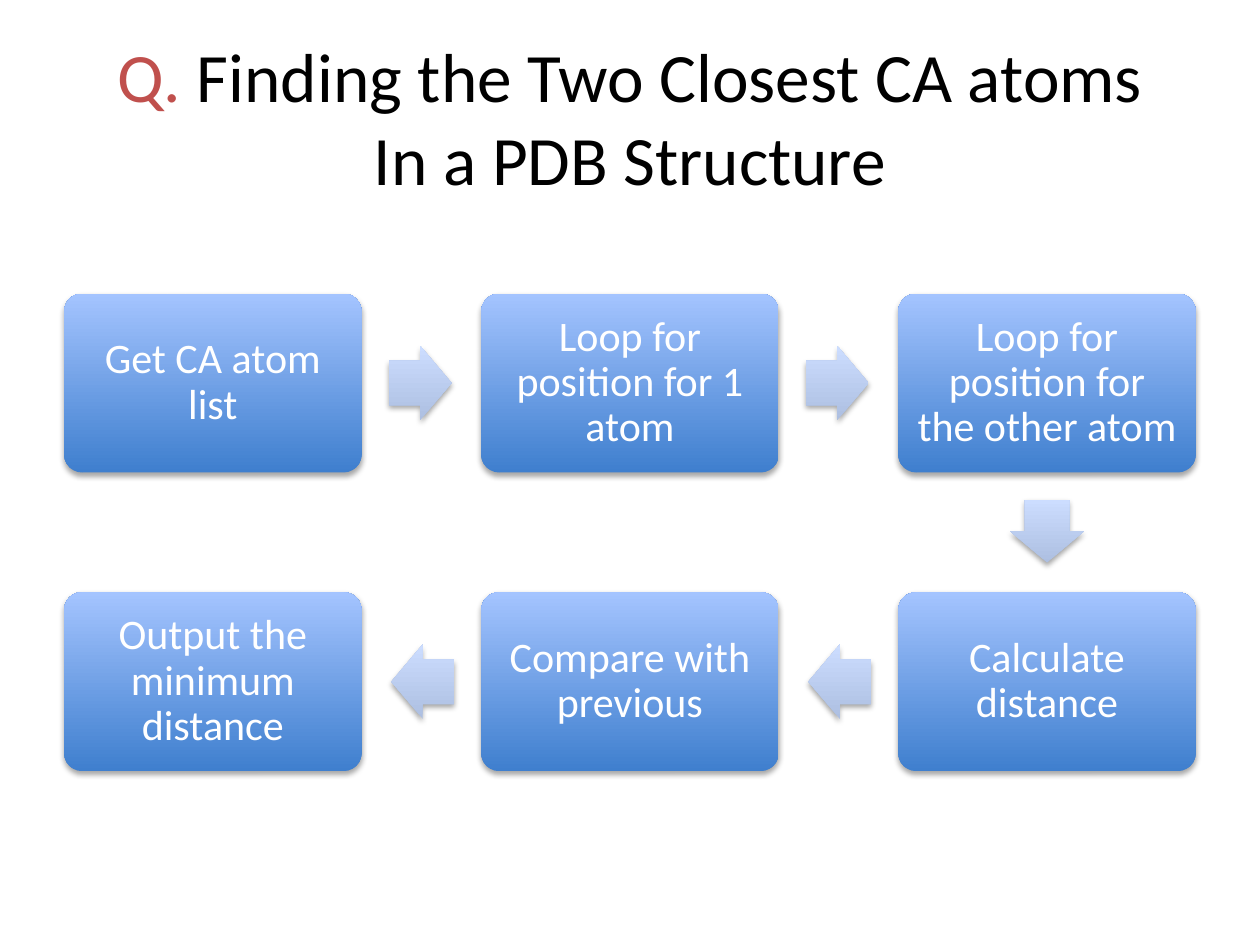
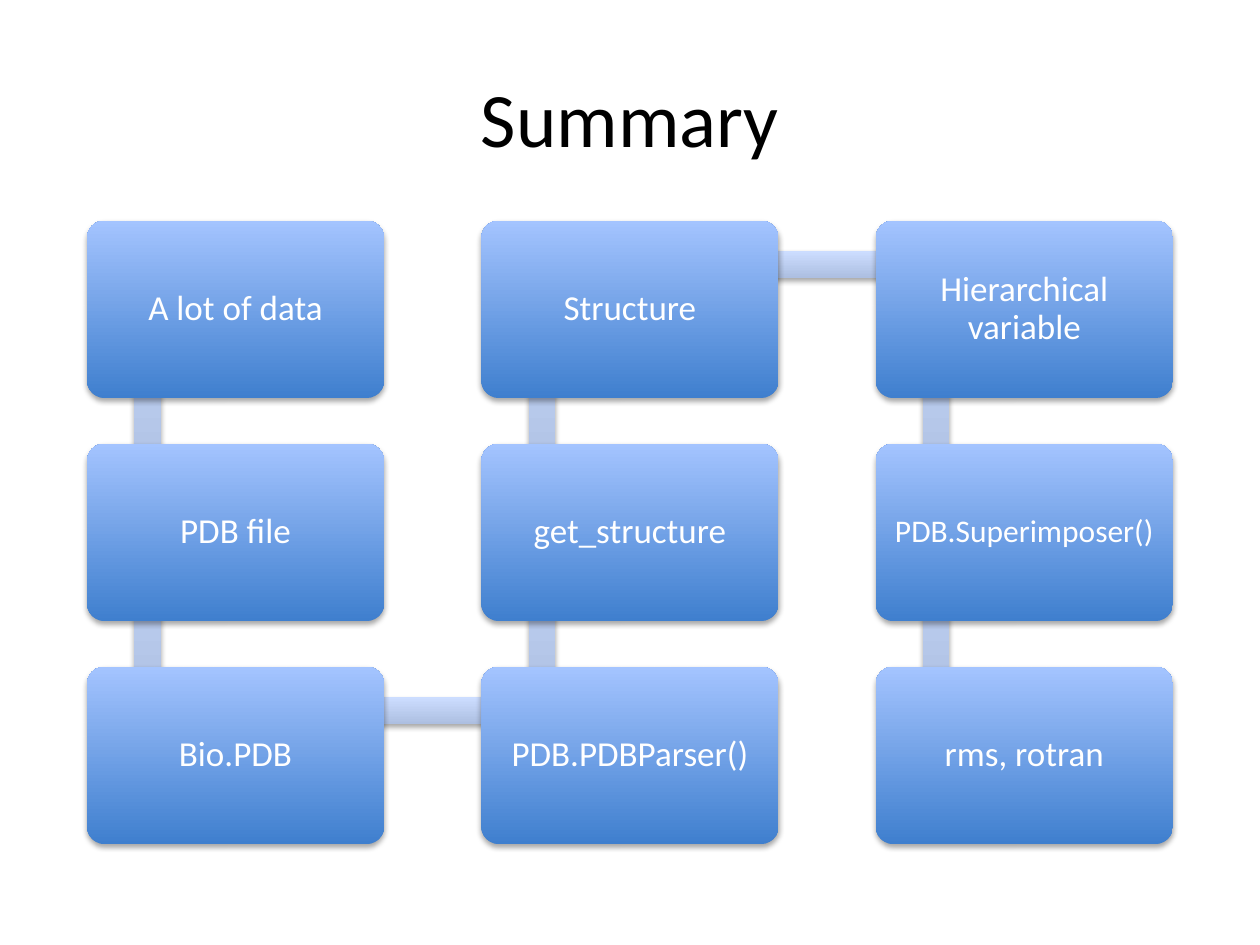
from copy import deepcopy
from math import atan2, degrees, hypot

from lxml import etree
from pptx import Presentation
from pptx.dml.color import RGBColor
from pptx.enum.shapes import MSO_SHAPE
from pptx.enum.text import MSO_ANCHOR, MSO_AUTO_SIZE, PP_ALIGN
from pptx.oxml.ns import qn
from pptx.util import Inches, Pt

ROUNDED_BOX = MSO_SHAPE.ROUNDED_RECTANGLE
ARROW = MSO_SHAPE.RIGHT_ARROW
BAR = MSO_SHAPE.RECTANGLE
CENTER = PP_ALIGN.CENTER
MIDDLE = MSO_ANCHOR.MIDDLE
NO_AUTOFIT = MSO_AUTO_SIZE.NONE

# Shared look
FONT = "Calibri"
BLACK = RGBColor(0x00, 0x00, 0x00)
WHITE = RGBColor(0xFF, 0xFF, 0xFF)
RED = RGBColor(0xC0, 0x50, 0x4D)
BOX_GRADIENT = (RGBColor(0x3F, 0x7F, 0xCE), RGBColor(0xA4, 0xC4, 0xFF))
LINK_GRADIENT = (RGBColor(0xAD, 0xBF, 0xE1), RGBColor(0xCC, 0xDD, 0xFF))
TITLE_ONLY_LAYOUT = 5
BOX_WIDTH = 2.36

# Boxes in reading order of the flow: text, column, row
CLOSEST_ATOM_STEPS = [
    ("Get CA atom list", 0, 0),
    ("Loop for position for 1 atom", 1, 0),
    ("Loop for position for the other atom", 2, 0),
    ("Calculate distance", 2, 1),
    ("Compare with previous", 1, 1),
    ("Output the minimum distance", 0, 1),
]
SUMMARY_STEPS = [
    ("A lot of data", 0, 0),
    ("PDB file", 0, 1),
    ("Bio.PDB", 0, 2),
    ("PDB.PDBParser()", 1, 2),
    ("get_structure", 1, 1),
    ("Structure", 1, 0),
    ("Hierarchical variable", 2, 0),
    ("PDB.Superimposer()", 2, 1),
    ("rms, rotran", 2, 2),
]


def add_text(paragraph, text, size=20, color=WHITE, line_spacing=None):
    """Append text to a centred paragraph; a newline becomes a line break."""
    paragraph.alignment = CENTER
    if line_spacing:
        paragraph.line_spacing = line_spacing
    run = None
    for line in text.split("\n"):
        if run is not None:
            # The break keeps the size of the text before it
            paragraph.add_line_break()
            paragraph._p[-1].append(deepcopy(run._r.rPr))
        run = paragraph.add_run()
        run.text = line
        run.font.name = FONT
        run.font.size = Pt(size)
        run.font.color.rgb = color


def add_slide(presentation, title_parts, title_size):
    slide = presentation.slides.add_slide(
        presentation.slide_layouts[TITLE_ONLY_LAYOUT])
    title = slide.shapes.title
    title.left, title.top = Inches(0.5), Inches(0.3)
    title.width, title.height = Inches(9), Inches(1.25)
    title.text_frame.auto_size = NO_AUTOFIT
    title.text_frame.vertical_anchor = MIDDLE
    for text, color in title_parts:
        add_text(title.text_frame.paragraphs[0], text, size=title_size, color=color)
    return slide


def add_shadow(shape):
    shape.shadow.inherit = False
    effects = shape._element.spPr.find(qn("a:effectLst"))
    shadow = etree.SubElement(effects, qn("a:outerShdw"), blurRad="40000",
                              dist="23000", dir="5400000", rotWithShape="0")
    color = etree.SubElement(shadow, qn("a:srgbClr"), val=str(BLACK))
    etree.SubElement(color, qn("a:alpha"), val="35000")


def add_gradient_shape(slide, kind, left, top, width, height, colors, adjustments=()):
    shape = slide.shapes.add_shape(
        kind, Inches(left), Inches(top), Inches(width), Inches(height))
    for index, value in enumerate(adjustments):
        shape.adjustments[index] = value
    # Dark at the bottom, light at the top, also when the shape is turned
    shape.fill.gradient()
    shape.fill.gradient_angle = 90
    for stop, color in zip(shape.fill.gradient_stops, colors):
        stop.color.rgb = color
    shape._element.spPr.find(qn("a:gradFill")).set("rotWithShape", "0")
    shape.line.fill.background()
    add_shadow(shape)
    return shape


def add_box(slide, text, left, top, height, size, inset):
    box = add_gradient_shape(slide, ROUNDED_BOX, left, top, BOX_WIDTH, height,
                             BOX_GRADIENT, adjustments=[0.1])
    frame = box.text_frame
    frame.word_wrap = True
    frame.vertical_anchor = MIDDLE
    frame.margin_left = frame.margin_right = Inches(inset)
    frame.margin_top = frame.margin_bottom = Inches(inset)
    add_text(frame.paragraphs[0], text, size=size, line_spacing=0.9)


def add_link(slide, kind, start, end, thickness, length=None, shift=0, adjustments=()):
    """Centre a shape between two points and turn it towards the second."""
    across, down = end[0] - start[0], end[1] - start[1]
    distance = hypot(across, down)
    length = length or distance
    center_x = (start[0] + end[0]) / 2 + shift * across / distance
    center_y = (start[1] + end[1]) / 2 + shift * down / distance
    link = add_gradient_shape(slide, kind, center_x - length / 2,
                              center_y - thickness / 2, length, thickness,
                              LINK_GRADIENT, adjustments)
    link.rotation = round(degrees(atan2(down, across))) % 360


def add_flow(slide, steps, origin, pitch, box_height, anchor, link_format,
             size, inset, small_texts=()):
    """Lay the steps on a grid; links join the anchor points of the boxes."""
    corners = [(origin[0] + column * pitch[0], origin[1] + row * pitch[1])
               for _, column, row in steps]
    anchors = [(left + anchor[0], top + anchor[1]) for left, top in corners]
    # Links lie behind the boxes
    for start, end in zip(anchors, anchors[1:]):
        add_link(slide, start=start, end=end, **link_format)
    for (text, _, _), (left, top) in zip(steps, corners):
        text_size = size - 2 if text in small_texts else size
        add_box(slide, text, left, top, box_height, text_size, inset)


def main():
    presentation = Presentation()
    presentation.slide_width, presentation.slide_height = Inches(10), Inches(7.5)

    # Closest atoms: arrows between the box centres
    slide = add_slide(presentation, [
        ("Q. ", RED),
        ("Finding the Two Closest CA atoms\nIn a PDB Structure", BLACK),
    ], title_size=39.6)
    add_flow(slide, CLOSEST_ATOM_STEPS, origin=(0.51, 2.33), pitch=(3.31, 2.37),
             box_height=1.42, anchor=(BOX_WIDTH / 2, 0.71),
             link_format={"kind": ARROW, "thickness": 0.59, "length": 0.5,
                          "shift": -0.01, "adjustments": [0.6, 0.5]},
             size=24, inset=0.1)

    # Summary: bars that run on behind the boxes
    slide = add_slide(presentation, [("Summary", BLACK)], title_size=44)
    add_flow(slide, SUMMARY_STEPS, origin=(0.69, 1.75), pitch=(3.13, 1.77),
             box_height=1.41, anchor=(0.48, 0.35),
             link_format={"kind": BAR, "thickness": 0.21},
             size=20, inset=0.08, small_texts=["PDB.Superimposer()"])

    presentation.save("out.pptx")


if __name__ == "__main__":
    main()
